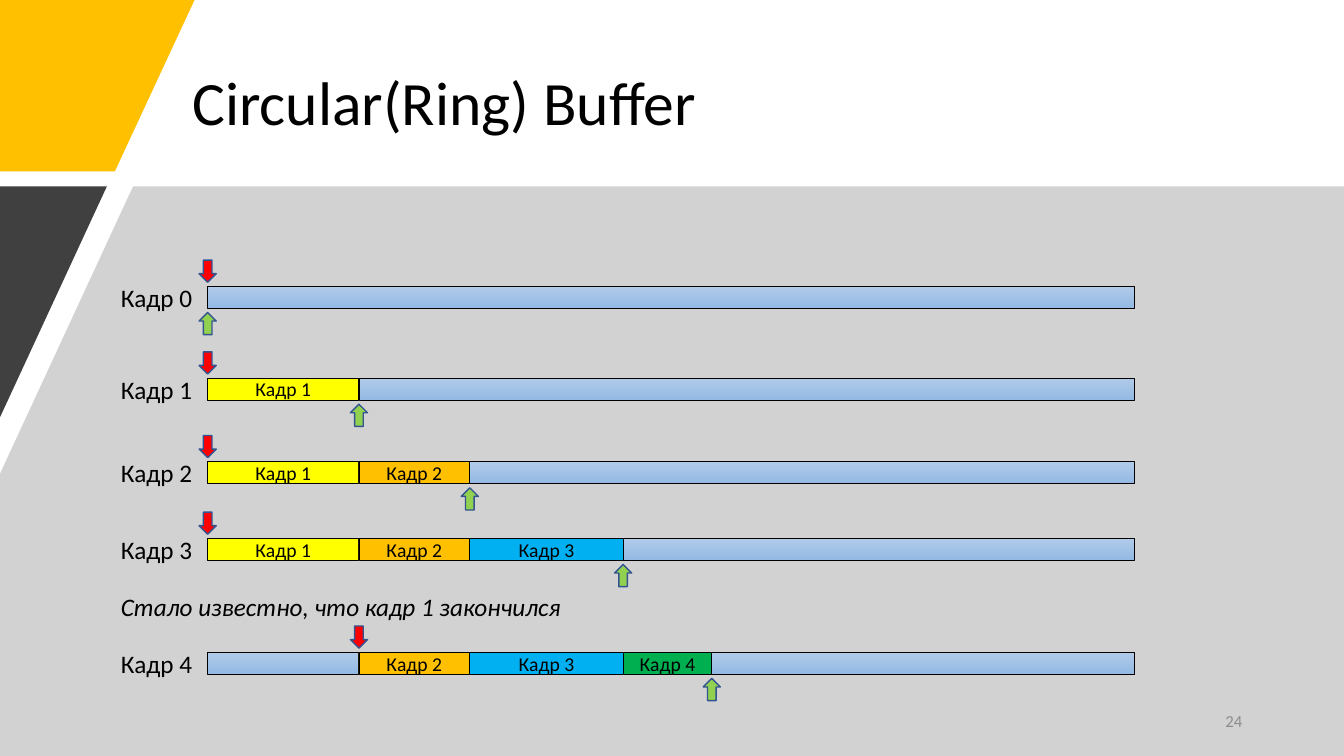
"""Build the ring buffer slide."""
from dataclasses import dataclass

from lxml.etree import SubElement
from pptx import Presentation
from pptx.dml.color import RGBColor
from pptx.enum.shapes import MSO_SHAPE as Preset
from pptx.enum.text import MSO_ANCHOR as Anchor, MSO_AUTO_SIZE as AutoSize, PP_ALIGN as Align
from pptx.oxml.ns import qn
from pptx.shapes.autoshape import Shape
from pptx.slide import Slide
from pptx.util import Inches, Pt


@dataclass(frozen=True)
class Theme:
    """Colours and type sizes of the slide."""
    font: str = "Calibri"
    title_size: int = 44
    label_size: int = 18
    frame_size: int = 14
    number_size: int = 12
    text: str = "000000"
    number: str = "8C8C8C"
    accent: str = "FFC000"
    panel: str = "A6A6A6"
    dark: str = "404040"
    free_space: tuple[str, str] = ("B1CBE9", "93B9E4")
    frames: tuple[str, ...] = ("FFFF00", "FFC000", "00B0F0", "00B050")
    read_arrow: str = "FF0000"
    write_arrow: str = "92D050"
    arrow_line: str = "325491"


@dataclass(frozen=True)
class Box:
    """Place of an element in inches."""
    left: float
    top: float
    width: float
    height: float

    def lengths(self) -> list[int]:
        """Return the four lengths for python-pptx."""
        return [Inches(value) for value in (self.left, self.top, self.width, self.height)]


@dataclass(frozen=True)
class Polygon:
    """Background outline with its fill."""
    points: tuple[tuple[float, float], ...]
    color: str
    opacity: int = 100


@dataclass(frozen=True)
class BufferState:
    """Buffer row with the frames from start up to end stored."""
    number: int
    top: float
    start: int
    end: int


@dataclass(frozen=True)
class Caption:
    """Standalone text with its format."""
    text: str
    box: Box
    size: int
    color: str
    italic: bool = False
    anchor: Anchor = Anchor.TOP
    align: Align = Align.LEFT
    spacing: float = 1.0
    grow: bool = False


THEME = Theme()
SLIDE_WIDTH, SLIDE_HEIGHT = 13.33, 7.5
PANEL_TOP = 1.85
EDGES = (2.06, 3.56, 4.66, 6.18, 7.06, 11.25)
BAR_HEIGHT = 0.22
ARROW_WIDTH = 0.17
ARROW_OFFSET = 0.26
LABEL_LEFT, LABEL_HEIGHT, LABEL_RISE = 1.1, 0.4, 0.09

POLYGONS = (
    Polygon(((0, 0), (1.93, 0), (1.14, 1.7), (0, 1.7)), THEME.accent),
    Polygon(((1.32, PANEL_TOP), (SLIDE_WIDTH, PANEL_TOP), (SLIDE_WIDTH, SLIDE_HEIGHT),
             (0, SLIDE_HEIGHT), (0, 4.7)), THEME.panel, 50),
    Polygon(((0, PANEL_TOP), (1.06, PANEL_TOP), (0, 4.14)), THEME.dark),
)
CAPTIONS = (
    Caption("Circular(Ring) Buffer", Box(1.81, 0.4, 10.24, 1.3), THEME.title_size,
            THEME.text, anchor=Anchor.MIDDLE, spacing=0.9),
    Caption("24", Box(9.42, 6.95, 3, 0.4), THEME.number_size, THEME.number,
            anchor=Anchor.MIDDLE, align=Align.RIGHT),
    Caption("Стало известно, что кадр 1 закончился", Box(LABEL_LEFT, 5.82, 4.96, LABEL_HEIGHT),
            THEME.label_size, THEME.text, italic=True, grow=True),
)
STATES = (
    BufferState(0, 2.84, 0, 0),
    BufferState(1, 3.75, 0, 1),
    BufferState(2, 4.58, 0, 2),
    BufferState(3, 5.34, 0, 3),
    BufferState(4, 6.47, 1, 4),
)


def apply_format(target: object, values: dict[str, object]) -> None:
    """Set every format value on the target."""
    for name, value in values.items():
        setattr(target, name, value)


def write_text(shape: Shape, text: str, size: int, color: str, align: Align,
               anchor: Anchor, italic: bool = False, spacing: float = 1.0) -> None:
    """Write one formatted paragraph into a shape."""
    frame = shape.text_frame
    apply_format(frame, {"word_wrap": True, "vertical_anchor": anchor})
    paragraph = frame.paragraphs[0]
    apply_format(paragraph, {"alignment": align, "line_spacing": spacing})
    run = paragraph.add_run()
    run.text = text
    apply_format(run.font, {"name": THEME.font, "size": Pt(size), "italic": italic})
    run.font.color.rgb = RGBColor.from_string(color)


def draw_caption(slide: Slide, caption: Caption) -> None:
    """Draw a text box."""
    shape = slide.shapes.add_textbox(*caption.box.lengths())
    write_text(shape, caption.text, caption.size, caption.color, caption.align,
               caption.anchor, caption.italic, caption.spacing)
    if caption.grow:
        shape.text_frame.auto_size = AutoSize.SHAPE_TO_FIT_TEXT


def draw_polygon(slide: Slide, polygon: Polygon) -> None:
    """Draw a background outline without a border."""
    points = [(Inches(x), Inches(y)) for x, y in polygon.points]
    builder = slide.shapes.build_freeform(*points[0])
    builder.add_line_segments(points[1:], close=True)
    shape = builder.convert_to_shape()
    shape.shadow.inherit = False
    shape.fill.solid()
    shape.fill.fore_color.rgb = RGBColor.from_string(polygon.color)
    shape.line.fill.background()
    if polygon.opacity < 100:
        color = next(shape.element.iter(qn("a:srgbClr")))
        SubElement(color, qn("a:alpha"), val=str(polygon.opacity * 1000))


def draw_preset(slide: Slide, preset: Preset, box: Box, colors: tuple[str, ...],
                line_color: str, line_width: float) -> Shape:
    """Draw a preset shape with a solid or vertical gradient fill."""
    shape = slide.shapes.add_shape(preset, *box.lengths())
    shape.shadow.inherit = False
    if len(colors) == 1:
        shape.fill.solid()
        shape.fill.fore_color.rgb = RGBColor.from_string(colors[0])
    else:
        shape.fill.gradient()
        shape.fill.gradient_angle = 270
        for stop, color in zip(shape.fill.gradient_stops, colors):
            stop.color.rgb = RGBColor.from_string(color)
    shape.line.color.rgb = RGBColor.from_string(line_color)
    shape.line.width = Pt(line_width)
    return shape


def draw_bar(slide: Slide, top: float, start: int, end: int, colors: tuple[str, ...]) -> Shape:
    """Draw a bar between two buffer edges."""
    box = Box(EDGES[start], top, EDGES[end] - EDGES[start], BAR_HEIGHT)
    return draw_preset(slide, Preset.RECTANGLE, box, colors, THEME.text, 0.5)


def draw_arrow(slide: Slide, edge: int, top: float, color: str, rotation: int) -> None:
    """Draw a pointer centred on a buffer edge."""
    box = Box(EDGES[edge] - ARROW_WIDTH / 2, top, ARROW_WIDTH, BAR_HEIGHT)
    arrow = draw_preset(slide, Preset.DOWN_ARROW, box, (color,), THEME.arrow_line, 1)
    arrow.rotation = rotation


def draw_state(slide: Slide, state: BufferState) -> None:
    """Draw one buffer row with its label, frames and pointers."""
    draw_bar(slide, state.top, state.end, len(EDGES) - 1, THEME.free_space)
    if state.start:
        draw_bar(slide, state.top, 0, state.start, THEME.free_space)
    draw_arrow(slide, state.start, state.top - ARROW_OFFSET, THEME.read_arrow, 0)
    draw_arrow(slide, state.end, state.top + ARROW_OFFSET, THEME.write_arrow, 180)
    label_box = Box(LABEL_LEFT, state.top - LABEL_RISE, 0.94, LABEL_HEIGHT)
    draw_caption(slide, Caption(f"Кадр {state.number}", label_box, THEME.label_size,
                                THEME.text, grow=True))
    for index in range(state.start, state.end):
        bar = draw_bar(slide, state.top, index, index + 1, (THEME.frames[index],))
        write_text(bar, f"Кадр {index + 1}", THEME.frame_size, THEME.text,
                   Align.CENTER, Anchor.MIDDLE)


def main() -> None:
    """Build and save the presentation."""
    presentation = Presentation()
    apply_format(presentation, {"slide_width": Inches(SLIDE_WIDTH),
                                "slide_height": Inches(SLIDE_HEIGHT)})
    slide = presentation.slides.add_slide(presentation.slide_layouts[6])
    for draw, items in ((draw_polygon, POLYGONS), (draw_state, STATES), (draw_caption, CAPTIONS)):
        for item in items:
            draw(slide, item)
    presentation.save("out.pptx")


if __name__ == "__main__":
    main()
